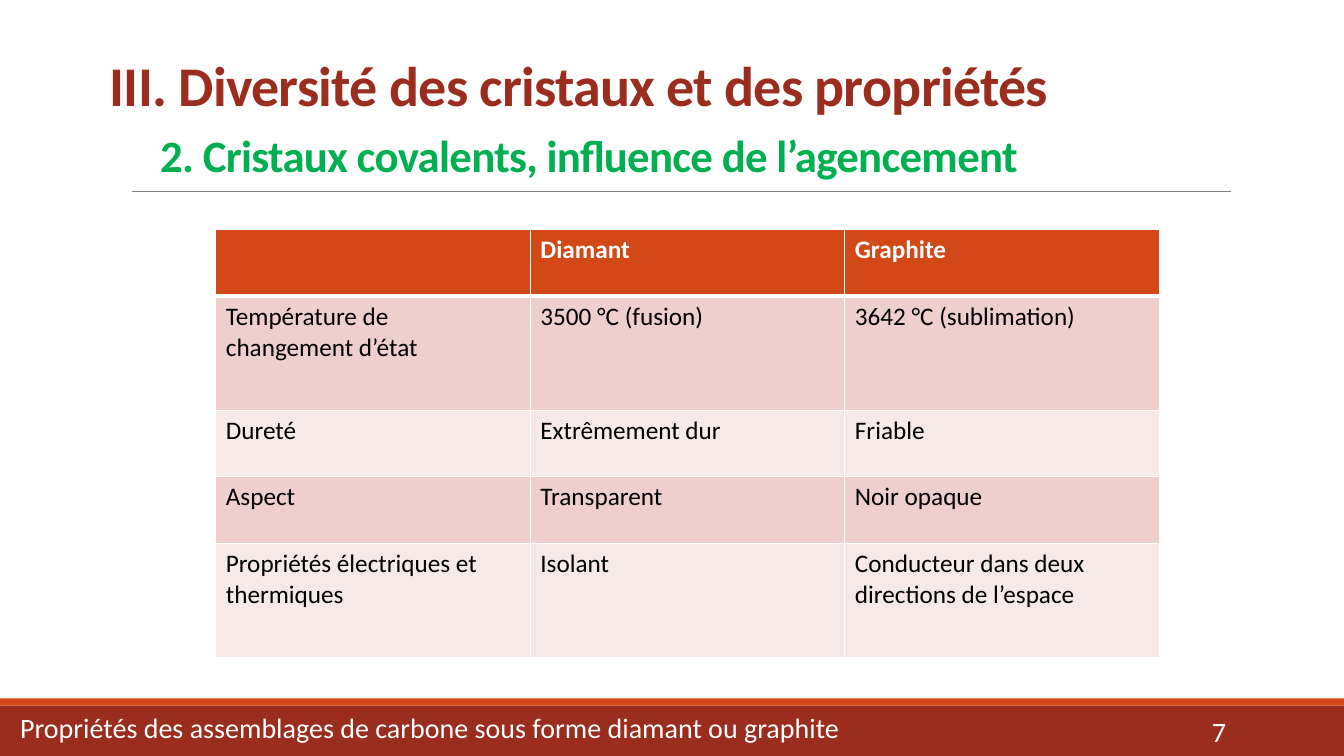
from lxml.etree import SubElement
from pptx import Presentation
from pptx.dml.color import RGBColor
from pptx.enum.shapes import MSO_CONNECTOR, MSO_SHAPE
from pptx.enum.text import MSO_ANCHOR, PP_ALIGN
from pptx.oxml.ns import qn
from pptx.util import Inches, Pt

BRICK = RGBColor(0x9B, 0x2D, 0x1F)
ORANGE = RGBColor(0xD3, 0x48, 0x17)
GREEN = RGBColor(0x00, 0xB0, 0x50)
GREY = RGBColor(0x80, 0x80, 0x80)
WHITE = RGBColor(0xFF, 0xFF, 0xFF)
BLACK = RGBColor(0x00, 0x00, 0x00)
ROSE = RGBColor(0xEF, 0xCF, 0xCC)
PALE_ROSE = RGBColor(0xF7, 0xE9, 0xE8)

WIDTH, HEIGHT = Inches(13.33), Inches(7.5)
FOOTER_TOP = Inches(7)
STRIPE_HEIGHT = Inches(0.07)
COLUMN_WIDTH = Inches(3.12)
SHORT_ROW, TALL_ROW = Inches(0.66), Inches(1.13)

PROPERTIES = [
    ("", "Diamant", "Graphite"),
    ("Température de changement d’état", "3500 °C (fusion)", "3642 °C (sublimation)"),
    ("Dureté", "Extrêmement dur", "Friable"),
    ("Aspect", "Transparent", "Noir opaque"),
    ("Propriétés électriques et thermiques", "Isolant",
     "Conducteur dans deux directions de l’espace"),
]
ROW_HEIGHTS = [SHORT_ROW, TALL_ROW, SHORT_ROW, SHORT_ROW, TALL_ROW]


def style_font(font, size, color, bold=False):
    font.name = "Calibri"
    font.size = Pt(size)
    font.color.rgb = color
    font.bold = bold


def add_border(cell, side, points):
    """Draw a white border on one side (L, R, T or B) of a table cell."""
    border = SubElement(cell._tc.get_or_add_tcPr(), qn(f"a:ln{side}"), w=str(Pt(points)))
    SubElement(SubElement(border, qn("a:solidFill")), qn("a:srgbClr"), val=str(WHITE))


prs = Presentation()
prs.slide_width, prs.slide_height = WIDTH, HEIGHT
slide = prs.slides.add_slide(prs.slide_layouts[6])
shapes = slide.shapes

# Footer bands and title rule
for top, height, color in [
    (FOOTER_TOP, HEIGHT - FOOTER_TOP, BRICK),
    (FOOTER_TOP - STRIPE_HEIGHT, STRIPE_HEIGHT, ORANGE),
]:
    band = shapes.add_shape(MSO_SHAPE.RECTANGLE, 0, top, WIDTH, height)
    band.shadow.inherit = False
    band.fill.solid()
    band.fill.fore_color.rgb = color
    band.line.fill.background()

rule_y = Inches(1.9)
title_rule = shapes.add_connector(
    MSO_CONNECTOR.STRAIGHT, Inches(1.31), rule_y, Inches(12.21), rule_y)
title_rule.line.color.rgb = GREY
title_rule.line.width = Pt(0.5)
SubElement(title_rule._element.spPr, qn("a:effectLst"))

# Title and subtitle
heading = shapes.add_textbox(
    Inches(0.99), Inches(0.31), Inches(11.62), Inches(1.59)).text_frame
heading.word_wrap = True
heading.vertical_anchor = MSO_ANCHOR.BOTTOM
heading_lines = heading.paragraphs[0]
heading_lines.line_spacing = 0.85
for wording, size, color in [
    ("III. Diversité des cristaux et des propriétés", 40, BRICK),
    ("\t", 48, GREEN),
    ("2. Cristaux covalents, influence de l’agencement", 32, GREEN),
]:
    if wording == "\t":
        heading_lines.add_line_break()
    part = heading_lines.add_run()
    part.text = wording
    style_font(part.font, size, color, bold=True)
    part.font._element.set("spc", "-50")

# Comparison of diamond and graphite
comparison = shapes.add_table(
    len(PROPERTIES), len(PROPERTIES[0]), Inches(2.14), Inches(2.28),
    COLUMN_WIDTH * len(PROPERTIES[0]), sum(ROW_HEIGHTS)).table
for column in comparison.columns:
    column.width = COLUMN_WIDTH
for row_index, (row_height, wordings) in enumerate(zip(ROW_HEIGHTS, PROPERTIES)):
    comparison.rows[row_index].height = row_height
    is_header = row_index == 0
    row_fill = ORANGE if is_header else ROSE if row_index % 2 else PALE_ROSE
    for column_index, wording in enumerate(wordings):
        cell = comparison.cell(row_index, column_index)
        for side in "LRTB":
            thick = (is_header and side == "B") or (row_index == 1 and side == "T")
            add_border(cell, side, 3 if thick else 1)
        cell.fill.solid()
        cell.fill.fore_color.rgb = row_fill
        cell.text_frame.text = wording
        style_font(cell.text_frame.paragraphs[0].font, 18,
                   WHITE if is_header else BLACK, is_header)

# Footer text and page number
footer = shapes.add_textbox(0, Inches(7.04), WIDTH, Inches(0.46)).text_frame
footer.word_wrap = True
footer.margin_left = Inches(0.2)
footer.text = "Propriétés des assemblages de carbone sous forme diamant ou graphite"
footer.paragraphs[0].line_spacing = 0.9
style_font(footer.paragraphs[0].runs[0].font, 20, WHITE)

page_number = shapes.add_textbox(
    Inches(10.83), Inches(7.06), Inches(1.43), Inches(0.4)).text_frame
page_number.word_wrap = True
page_number.vertical_anchor = MSO_ANCHOR.MIDDLE
page_number.text = "7"
page_number.paragraphs[0].alignment = PP_ALIGN.RIGHT
style_font(page_number.paragraphs[0].runs[0].font, 20, WHITE)

prs.save("out.pptx")
